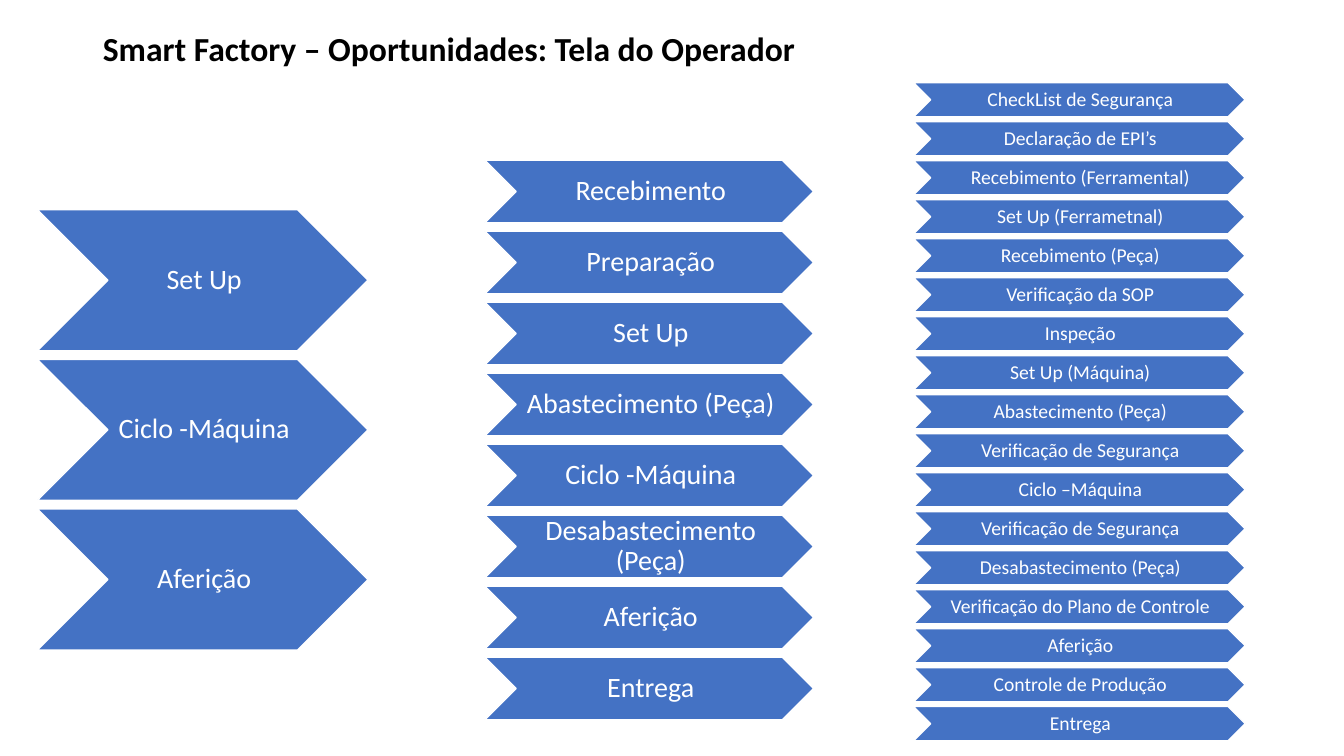
from dataclasses import dataclass

from pptx import Presentation
from pptx.dml.color import RGBColor
from pptx.enum.shapes import MSO_SHAPE
from pptx.enum.text import MSO_ANCHOR, MSO_AUTO_SIZE, PP_ALIGN
from pptx.shapes.base import BaseShape
from pptx.slide import Slide
from pptx.util import Emu, Pt

CHEVRON = MSO_SHAPE.CHEVRON
TOP, MIDDLE = MSO_ANCHOR.TOP, MSO_ANCHOR.MIDDLE
LEFT, CENTER = PP_ALIGN.LEFT, PP_ALIGN.CENTER
FIT_SHAPE, NO_FIT = MSO_AUTO_SIZE.SHAPE_TO_FIT_TEXT, MSO_AUTO_SIZE.NONE
TITLE_ONLY = 5
PX = 9144  # 100 px to the inch


@dataclass(frozen=True)
class Theme:
    font: str = "Calibri"
    title_color: RGBColor = RGBColor(0x00, 0x00, 0x00)
    step_fill: RGBColor = RGBColor(0x44, 0x72, 0xC4)
    step_text: RGBColor = RGBColor(0xFF, 0xFF, 0xFF)
    title_size: int = 24
    large_step: int = 20
    small_step: int = 14


THEME = Theme()


@dataclass(frozen=True)
class StepColumn:
    left: int
    width: int
    height: int
    first_top: int
    last_top: int
    size: int
    inset: int
    steps: tuple[str, ...]


COLUMNS = (
    StepColumn(481, 326, 62, 159, 652, THEME.large_step, 3, (
        "Recebimento",
        "Preparação",
        "Set Up",
        "Abastecimento (Peça)",
        "Ciclo -Máquina",
        "Desabastecimento (Peça)",
        "Aferição",
        "Entrega",
    )),
    StepColumn(37, 328, 140, 208, 505, THEME.large_step, 3, (
        "Set Up",
        "Ciclo -Máquina",
        "Aferição",
    )),
    StepColumn(906, 329, 34, 82, 701, THEME.small_step, 2, (
        "CheckList de Segurança",
        "Declaração de EPI’s",
        "Recebimento (Ferramental)",
        "Set Up (Ferrametnal)",
        "Recebimento (Peça)",
        "Verificação da SOP",
        "Inspeção",
        "Set Up (Máquina)",
        "Abastecimento (Peça)",
        "Verificação de Segurança",
        "Ciclo –Máquina",
        "Verificação de Segurança",
        "Desabastecimento (Peça)",
        "Verificação do Plano de Controle",
        "Aferição",
        "Controle de Produção",
        "Entrega",
    )),
)


def px(n: float) -> Emu:
    return Emu(round(n * PX))


def set_all(target: object, values: dict) -> None:
    for name, value in values.items():
        setattr(target, name, value)


def write(sp: BaseShape, text: str, frame: dict, para: dict, font: dict, color: RGBColor) -> None:
    """Fill a shape with one formatted paragraph."""
    tf = sp.text_frame
    set_all(tf, {"word_wrap": True, **frame})
    p = tf.paragraphs[0]
    set_all(p, para)
    r = p.add_run()
    r.text = text
    set_all(r.font, {"name": THEME.font, **font})
    r.font.color.rgb = color


def add_title(s: Slide, text: str) -> None:
    sp = s.shapes.title
    set_all(sp, {"left": px(92), "top": px(23), "width": px(979), "height": px(50)})
    write(sp, text, {"vertical_anchor": TOP, "auto_size": FIT_SHAPE}, {"alignment": LEFT},
          {"size": Pt(THEME.title_size), "bold": True}, THEME.title_color)


def add_column(s: Slide, col: StepColumn) -> None:
    pitch = (col.last_top - col.first_top) / (len(col.steps) - 1)
    frame = {"vertical_anchor": MIDDLE, "auto_size": NO_FIT, "margin_left": px(col.inset),
             "margin_right": 0, "margin_top": px(1), "margin_bottom": px(1)}
    for i, step in enumerate(col.steps):
        sp = s.shapes.add_shape(CHEVRON, px(col.left), px(col.first_top + i * pitch),
                                px(col.width), px(col.height))
        sp.shadow.inherit = False
        sp.fill.solid()
        sp.fill.fore_color.rgb = THEME.step_fill
        sp.line.color.rgb = THEME.step_text
        sp.line.width = Pt(1)
        write(sp, step, frame, {"alignment": CENTER, "line_spacing": 0.9},
              {"size": Pt(col.size)}, THEME.step_text)


def main() -> None:
    prs = Presentation()
    set_all(prs, {"slide_width": px(1333), "slide_height": px(750)})
    s = prs.slides.add_slide(prs.slide_layouts[TITLE_ONLY])
    add_title(s, "Smart Factory – Oportunidades: Tela do Operador")
    for col in COLUMNS:
        add_column(s, col)
    prs.save("out.pptx")


if __name__ == "__main__":
    main()
